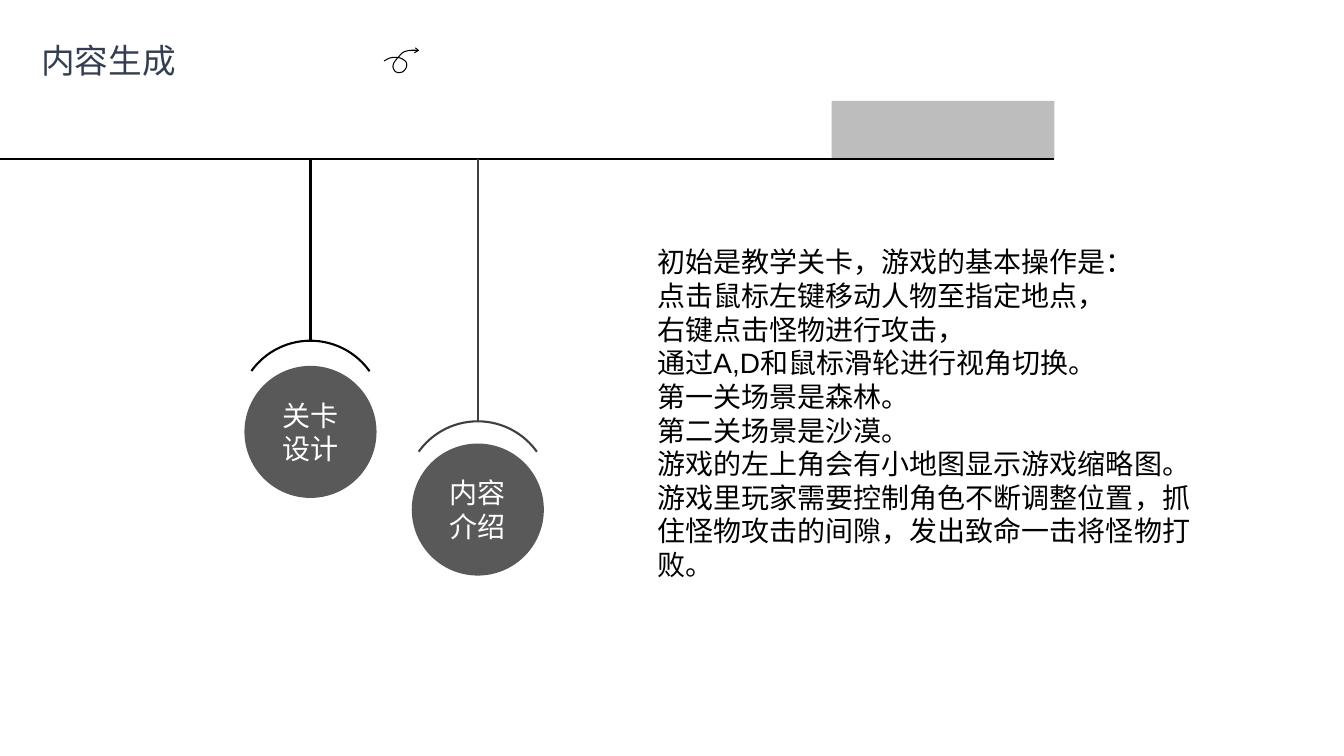
from lxml.etree import SubElement
from pptx import Presentation
from pptx.dml.color import RGBColor
from pptx.enum.shapes import MSO_CONNECTOR, MSO_SHAPE
from pptx.enum.text import MSO_ANCHOR, PP_ALIGN
from pptx.oxml.ns import qn
from pptx.util import Inches, Pt

WIDTH, HEIGHT = Inches(13.333), Inches(7.5)
RAIL_Y = 21.07
ARC_SIZE = (10.8, 19.2)
DISC_SIZE = (9.83, 17.47)
PENDANTS = [
    (23.1, 45.07, 48.4, "000000", ["关卡", "设计"]),
    (35.55, 55.73, 58.67, "404040", ["内容", "介绍"]),
]
BODY = [
    "初始是教学关卡，游戏的基本操作是：",
    "点击鼠标左键移动人物至指定地点，",
    "右键点击怪物进行攻击，",
    "通过A,D和鼠标滑轮进行视角切换。",
    "第一关场景是森林。",
    "第二关场景是沙漠。",
    "游戏的左上角会有小地图显示游戏缩略图。",
    "游戏里玩家需要控制角色不断调整位置，抓住怪物攻击的间隙，发出致命一击将怪物打败。",
]
SWIRL = [
    (28.58, 8.07), (29.03, 7.67), (29.55, 7.6), (29.93, 7.8), (30.23, 8.27),
    (30.23, 8.93), (29.93, 9.53), (29.48, 9.53), (29.25, 8.93), (29.33, 8.27),
    (29.63, 7.6), (30, 6.93), (30.53, 6.67), (31.13, 6.67),
]
SWIRL_TIP = [(30.9, 6.33), (31.13, 6.67), (30.83, 7)]


def color(value):
    """Return the colour for a hex string."""
    return RGBColor.from_string(value)


def place(x, y):
    """Turn percentages of the slide's width and height into lengths."""
    return round(WIDTH * x / 100), round(HEIGHT * y / 100)


def apply(target, formats):
    """Set every attribute named in a dict of format values."""
    for name, value in formats.items():
        setattr(target, name, value)


def write(frame, lines, size, ink, align=PP_ALIGN.LEFT, **formats):
    """Fill a text frame with one paragraph per line."""
    apply(frame, formats)
    for index, line in enumerate(lines):
        para = frame.add_paragraph() if index else frame.paragraphs[0]
        para.alignment = align
        span = para.add_run()
        span.text = line
        apply(span.font, {"size": Pt(size), "name": "Arial"})
        span.font.color.rgb = color(ink)


def add_line(page, start, end, ink):
    """Draw a straight line between two points."""
    line = page.shapes.add_connector(MSO_CONNECTOR.STRAIGHT, *place(*start), *place(*end))
    line.line.color.rgb = color(ink)
    line.line.width = Pt(1.5)
    SubElement(line._element.spPr, qn("a:effectLst"))


def add_filled(page, kind, corner, size, paint):
    """Add a preset shape with a plain fill and no outline."""
    shape = page.shapes.add_shape(kind, *place(*corner), *place(*size))
    shape.shadow.inherit = False
    shape.fill.solid()
    shape.fill.fore_color.rgb = color(paint)
    shape.line.fill.background()
    return shape


def outline(shape, ink, width):
    """Leave a shape unfilled and give it a line."""
    shape.shadow.inherit = False
    shape.fill.background()
    shape.line.color.rgb = color(ink)
    shape.line.width = Pt(width)


def add_pendant(page, center, arc_top, disc_top, ink, label):
    """Hang an arc and a labelled disc from the rail."""
    add_line(page, (center, RAIL_Y), (center, arc_top), ink)
    corner = (center - ARC_SIZE[0] / 2, arc_top)
    arc = page.shapes.add_shape(MSO_SHAPE.ARC, *place(*corner), *place(*ARC_SIZE))
    arc.adjustments[0], arc.adjustments[1] = 129.36, 194.76
    outline(arc, ink, 1.5)
    corner = (center - DISC_SIZE[0] / 2, disc_top)
    disc = add_filled(page, MSO_SHAPE.OVAL, corner, DISC_SIZE, "595959")
    write(disc.text_frame, label, 20, "FFFFFF", PP_ALIGN.CENTER,
          vertical_anchor=MSO_ANCHOR.MIDDLE, margin_left=0, margin_right=0)


def smooth(points, steps=6):
    """Return a Catmull-Rom curve through the points."""
    padded = [points[0], *points, points[-1]]
    curve = [points[0]]
    for a, b, c, d in zip(padded, padded[1:], padded[2:], padded[3:]):
        for step in range(1, steps + 1):
            t = step / steps
            curve.append(tuple(
                (2 * q + (r - p) * t + (2 * p - 5 * q + 4 * r - s) * t ** 2
                 + (3 * q - p - 3 * r + s) * t ** 3) / 2
                for p, q, r, s in zip(a, b, c, d)))
    return curve


def add_swirl(page):
    """Draw the small looping arrow beside the title."""
    curve = [place(*point) for point in smooth(SWIRL)]
    tip = [place(*point) for point in SWIRL_TIP]
    builder = page.shapes.build_freeform(*curve[0])
    builder.add_line_segments(curve[1:], close=False)
    builder.move_to(*tip[0])
    builder.add_line_segments(tip[1:], close=False)
    outline(builder.convert_to_shape(), "000000", 0.75)


def add_title(page, text):
    """Move and format the title placeholder."""
    title = page.shapes.title
    left, top = place(2.33, 4.67)
    width, height = place(11.63, 6.67)
    apply(title, {"left": left, "top": top, "width": width, "height": height})
    write(title.text_frame, [text], 24, "333F50",
          vertical_anchor=MSO_ANCHOR.TOP, word_wrap=False)


def add_body(page):
    """Add the description of the levels."""
    box = page.shapes.add_textbox(*place(47.93, 31.47), *place(41.78, 46.67))
    write(box.text_frame, BODY, 20, "000000", word_wrap=True,
          margin_left=Inches(0.13), margin_right=Inches(0.13),
          margin_top=Inches(0.07), margin_bottom=Inches(0.07))


def main():
    """Build the slide and save it."""
    deck = Presentation()
    apply(deck, {"slide_width": WIDTH, "slide_height": HEIGHT})
    page = deck.slides.add_slide(deck.slide_layouts[5])
    add_title(page, "内容生成")
    add_body(page)
    block = add_filled(page, MSO_SHAPE.RECTANGLE, (61.88, 13.33), (16.58, 7.73), "262626")
    paint = block._element.spPr.find(qn("a:solidFill"))[0]
    SubElement(paint, qn("a:alpha"), val="30000")
    add_line(page, (0, RAIL_Y), (78.45, RAIL_Y), "000000")
    for pendant in PENDANTS:
        add_pendant(page, *pendant)
    add_swirl(page)
    deck.save("out.pptx")


if __name__ == "__main__":
    main()
